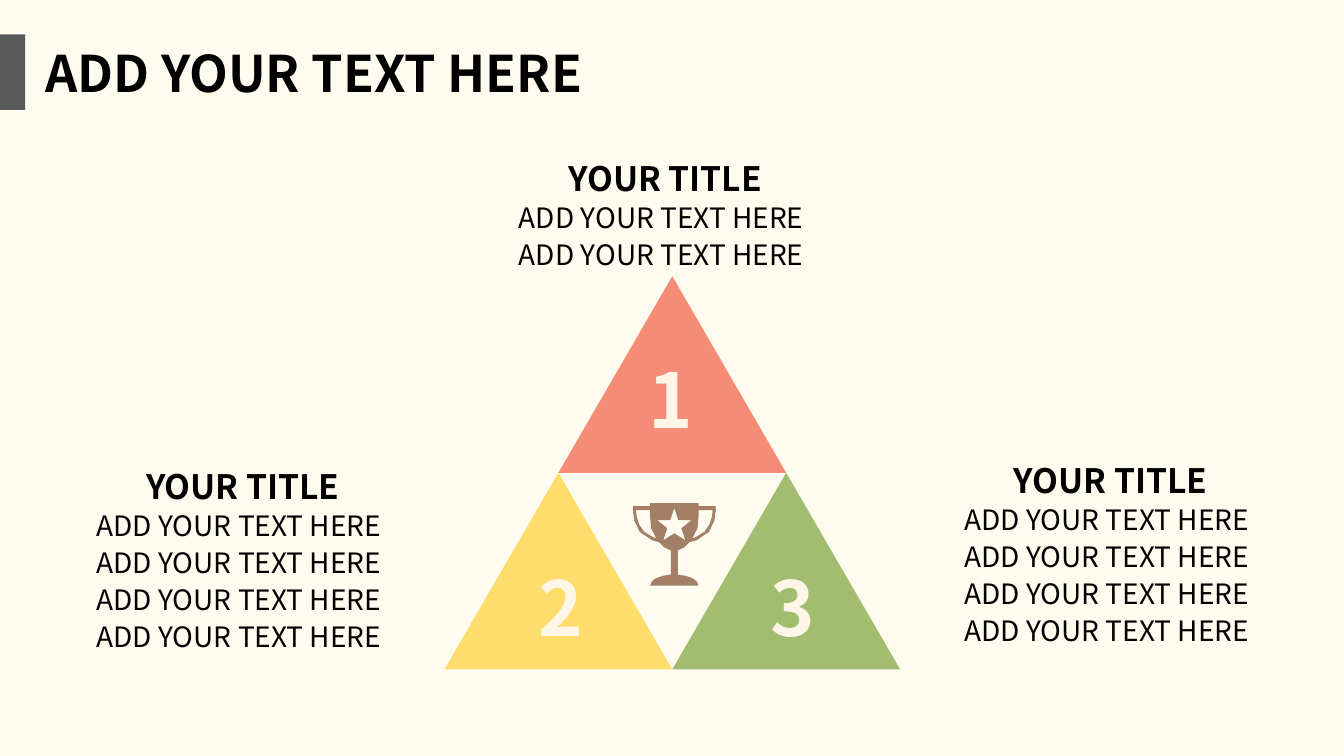
from pptx import Presentation
from pptx.dml.color import RGBColor
from pptx.enum.shapes import MSO_SHAPE
from pptx.enum.text import MSO_ANCHOR, MSO_AUTO_SIZE, PP_ALIGN
from pptx.util import Pt

PX = 9144  # 100 px to the inch
TRIANGLE, RECT = MSO_SHAPE.ISOSCELES_TRIANGLE, MSO_SHAPE.RECTANGLE
TOP, LEFT, GROW = MSO_ANCHOR.TOP, PP_ALIGN.LEFT, MSO_AUTO_SIZE.SHAPE_TO_FIT_TEXT


class Theme:
    font = "Noto Sans CJK SC"
    back, ink, bar = "FFFBEF", "000000", "595959"
    digit, trophy = "FFF6E7", "A37F67"
    coral, yellow, green = "F58D76", "FFDD6C", "A1BD70"
    title, number, head, body = 36, 54, 24, 20


def paint(shape, color):
    shape.shadow.inherit = False
    shape.fill.solid()
    shape.fill.fore_color.rgb = RGBColor.from_string(color)
    shape.line.fill.background()


def write(box, text, size, bold, color=Theme.ink):
    frame = box.text_frame
    frame.word_wrap = False
    frame.auto_size = GROW
    frame.vertical_anchor = TOP
    para = frame.paragraphs[0]
    para.alignment = LEFT
    run = para.add_run()
    run.text = text
    run.font.name = Theme.font
    run.font.size = Pt(size)
    run.font.bold = bold
    run.font.color.rgb = RGBColor.from_string(color)


deck = Presentation()
deck.slide_width, deck.slide_height = 12192000, 750 * PX
slide = deck.slides.add_slide(deck.slide_layouts[5])
slide.background.fill.solid()
slide.background.fill.fore_color.rgb = RGBColor.from_string(Theme.back)
shapes = slide.shapes

# Title and side bar
title = shapes.title
title.left, title.top, title.width, title.height = (
    n * PX for n in (35, 37, 595, 71))
write(title, "ADD YOUR TEXT HERE", Theme.title, True)
paint(shapes.add_shape(RECT, 0, 34 * PX, 25 * PX, 75 * PX), Theme.bar)

# Numbered triangles: left, top, color, number, number left, number top
for left, top, color, number, num_left, num_top in (
        (554, 274, Theme.coral, "1", 634, 345),
        (441, 469, Theme.yellow, "2", 524, 552),
        (667, 469, Theme.green, "3", 755, 552)):
    paint(shapes.add_shape(TRIANGLE, left * PX, top * PX, 226 * PX, 195 * PX),
          color)
    box = shapes.add_textbox(num_left * PX, num_top * PX, 64 * PX, 97 * PX)
    write(box, number, Theme.number, True, Theme.digit)

# Trophy: right half, x from the middle; six numbers make a curve
AXIS, STEPS = 669, 4
cup = [(24, 499), (24, 502), (41, 502), (41, 502, 44, 529, 22, 536),
       (15, 538), (10, 543), (3.5, 546), (3.5, 570),
       (15, 571, 24, 575, 24, 581)]
handle = [(24, 513), (24, 506), (38, 506), (38, 512, 36, 528, 21, 533),
          (18, 534), (23, 524)]
star = [(0, 504), (4, 516), (17, 516), (7, 524), (11, 536), (0, 529)]

halves = []
for parts in (cup, handle, star):
    points = []
    for part in parts:
        if len(part) == 2:
            points.append(part)
            continue
        x0, y0 = points[-1]
        x1, y1, x2, y2, x3, y3 = part
        for i in range(1, STEPS + 1):
            t = i / STEPS
            u = 1 - t
            a, b, c, d = u ** 3, 3 * u * u * t, 3 * u * t * t, t ** 3
            points.append((a * x0 + b * x1 + c * x2 + d * x3,
                           a * y0 + b * y1 + c * y2 + d * y3))
    halves.append(points)

cup, handle, star = halves
flips = [[(-x, y) for x, y in half[::-1] if x] for half in halves]
loops = [cup + flips[0], handle, flips[1], star + flips[2]]
pen = None
for loop in loops:
    spots = [((AXIS + x) * PX, y * PX) for x, y in loop]
    if pen is None:
        pen = shapes.build_freeform(*spots[0], scale=1.0)
    else:
        pen.move_to(*spots[0])
    pen.add_line_segments(spots[1:], close=True)
paint(pen.convert_to_shape(), Theme.trophy)

# Text groups: left, top, count of lines
for left, top, count in ((86, 457, 4), (947, 451, 4), (505, 152, 2)):
    head = shapes.add_textbox((left + 49) * PX, top * PX, 219 * PX, 50 * PX)
    write(head, "YOUR TITLE", Theme.head, True)
    for row in range(count):
        y = int((top + 42.3 + row * 36.68) * PX)
        line = shapes.add_textbox(left * PX, y, 323 * PX, 44 * PX)
        write(line, "ADD YOUR TEXT HERE", Theme.body, False)

deck.save("out.pptx")
